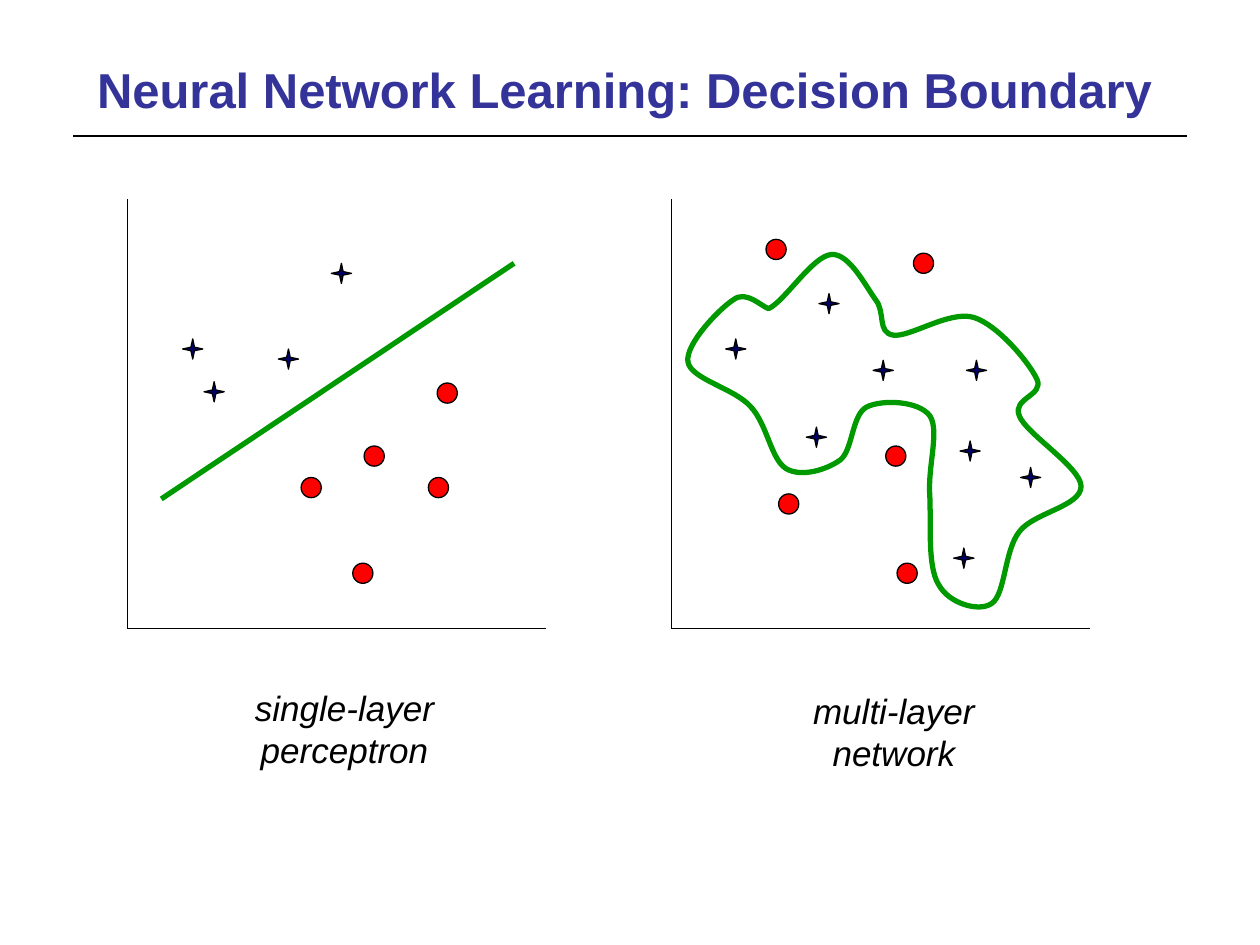
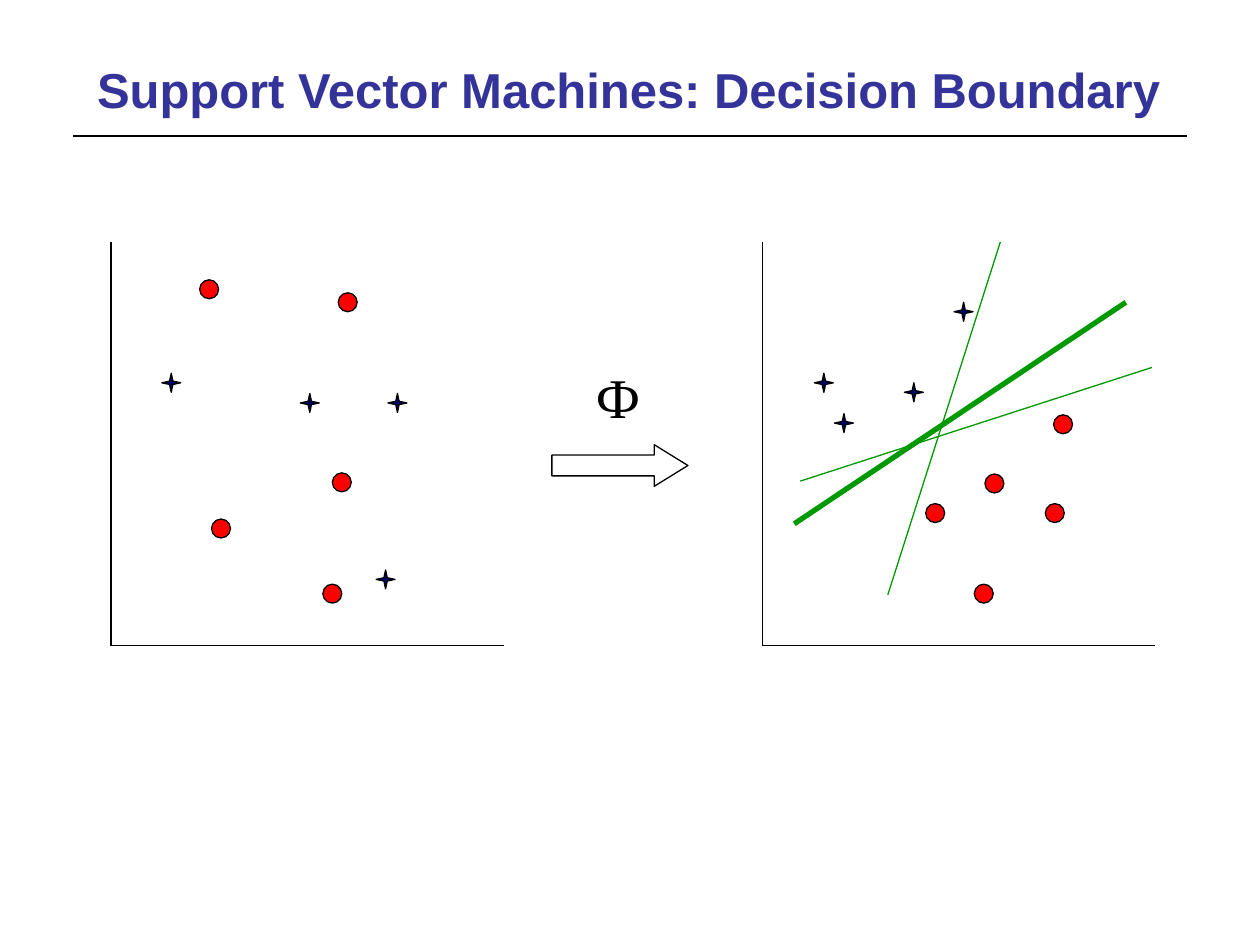
from lxml.etree import SubElement
from pptx import Presentation
from pptx.dml.color import RGBColor
from pptx.enum.shapes import MSO_CONNECTOR, MSO_SHAPE
from pptx.enum.text import MSO_ANCHOR, MSO_AUTO_SIZE, PP_ALIGN
from pptx.oxml.ns import qn
from pptx.util import Inches, Pt

COLORS = {"title": "333399", "ink": "000000", "star": "000066",
          "dot": "FF0000", "boundary": "009900"}
TITLES = ["Neural Network Learning: Decision Boundary",
          "Support Vector Machines: Decision Boundary"]
CAPTIONS = [("single-layer\vperceptron", 1.22, 5.4, 3.03),
            ("multi-layer\vnetwork", 5.83, 5.42, 2.53)]

AXES = (3.32, 3.41)
MARK = 0.16
SVM_SCALE = 0.94
SEPARABLE = {
    "stars": [(1.62, 0.51), (1.2, 1.19), (0.61, 1.45), (0.44, 1.11)],
    "dots": [(1.88, 1.96), (2.39, 2.21), (1.79, 2.89), (2.46, 1.46), (1.38, 2.21)],
}
MIXED_STARS = [(2.34, 1.28), (2.24, 2.77), (1.6, 1.28), (0.43, 1.11)]
MIXED_DOTS = [(0.85, 2.34), (1.79, 2.89), (1.92, 0.43), (0.75, 0.32)]
NETWORK_MIXED = {
    "stars": MIXED_STARS + [(1.17, 0.75), (1.07, 1.81), (2.29, 1.92), (2.77, 2.13)],
    "dots": MIXED_DOTS + [(1.7, 1.96)],
}
SVM_MIXED = {"stars": MIXED_STARS, "dots": MIXED_DOTS + [(1.87, 1.95)]}
BEST_LINE = ((0.27, 2.38), (3.07, 0.51), 3)
OTHER_LINES = [((1.06, 2.98), (2.01, 0), 0.75), ((0.32, 2.02), (3.29, 1.06), 0.75)]

CURVE_START = (6.1, 2.45)
CURVE = [
    ((6.23, 2.39), (6.45, 2.03), (6.6, 2.02)),
    ((6.74, 2.01), (6.87, 2.27), (6.95, 2.38)),
    ((7.03, 2.48), (6.96, 2.64), (7.09, 2.66)),
    ((7.22, 2.68), (7.54, 2.46), (7.73, 2.52)),
    ((7.92, 2.58), (8.17, 2.88), (8.23, 3.01)),
    ((8.29, 3.14), (8.03, 3.16), (8.09, 3.3)),
    ((8.14, 3.44), (8.58, 3.71), (8.58, 3.86)),
    ((8.58, 4.02), (8.2, 4.07), (8.09, 4.22)),
    ((7.97, 4.37), (7.98, 4.72), (7.87, 4.79)),
    ((7.77, 4.86), (7.53, 4.79), (7.45, 4.64)),
    ((7.36, 4.5), (7.39, 4.16), (7.38, 3.94)),
    ((7.36, 3.71), (7.46, 3.42), (7.38, 3.3)),
    ((7.29, 3.18), (7, 3.17), (6.88, 3.23)),
    ((6.76, 3.29), (6.77, 3.57), (6.67, 3.65)),
    ((6.56, 3.73), (6.36, 3.79), (6.24, 3.72)),
    ((6.12, 3.65), (6.09, 3.37), (5.96, 3.23)),
    ((5.83, 3.08), (5.48, 3.01), (5.46, 2.87)),
    ((5.44, 2.73), (5.71, 2.45), (5.82, 2.38)),
    ((5.92, 2.3), (6.04, 2.43), CURVE_START),
]


def rgb(name):
    return RGBColor.from_string(COLORS[name])


def style(shape, fill=None, line="ink", width=0.75):
    shape.shadow.inherit = False
    if fill:
        shape.fill.solid()
        shape.fill.fore_color.rgb = rgb(fill)
    else:
        shape.fill.background()
    shape.line.color.rgb = rgb(line)
    shape.line.width = Pt(width)


def add_line(shapes, start, end, color="ink", width=0.75):
    c = shapes.add_connector(MSO_CONNECTOR.STRAIGHT, *map(Inches, (*start, *end)))
    c.line.color.rgb = rgb(color)
    c.line.width = Pt(width)
    SubElement(c._element.spPr, qn("a:effectLst"))
    return c


def add_plot(s, left, top, data, lines=(), scale=1):
    def place(point):
        return left + scale * point[0], top + scale * point[1]

    shapes = s.shapes.add_group_shape().shapes
    corner = place((0, AXES[1]))
    add_line(shapes, (left, top), corner)
    add_line(shapes, corner, place(AXES))
    size = Inches(MARK * scale)
    for kind, preset, fill in (("stars", MSO_SHAPE.STAR_4_POINT, "star"),
                               ("dots", MSO_SHAPE.OVAL, "dot")):
        for point in data[kind]:
            x, y = place(point)
            mark = shapes.add_shape(preset, Inches(x), Inches(y), size, size)
            style(mark, fill)
            if kind == "stars":
                mark.adjustments[0] = 0.125
    for start, end, width in lines:
        add_line(shapes, place(start), place(end), "boundary", width)
    return shapes


def add_closed_curve(shapes, start, segments):
    points = [(Inches(x), Inches(y)) for segment in segments for x, y in segment]
    builder = shapes.build_freeform(*map(Inches, start))
    builder.add_line_segments(points, close=True)
    sp = builder.convert_to_shape()
    style(sp, line="boundary", width=3)
    path = next(sp._element.iter(qn("a:path")))
    corners = path.findall(qn("a:lnTo"))
    for i in range(0, len(corners), 3):
        cubic = SubElement(path, qn("a:cubicBezTo"))
        for corner in corners[i:i + 3]:
            cubic.append(corner[0])
            path.remove(corner)
    path.append(path.find(qn("a:close")))


def add_text(s, text, left, top, width, height, size, font, italic=False, align=None):
    tf = s.shapes.add_textbox(*map(Inches, (left, top, width, height))).text_frame
    tf.word_wrap = False
    p = tf.paragraphs[0]
    p.text = text
    p.alignment = align
    p.font.size, p.font.name, p.font.italic = Pt(size), font, italic
    p.font.color.rgb = rgb("ink")


def add_slide(prs, title):
    s = prs.slides.add_slide(prs.slide_layouts[5])
    sp = s.shapes.title
    sp.left, sp.top, sp.width, sp.height = map(Inches, (0.67, 0.42, 8.75, 1))
    tf = sp.text_frame
    tf.vertical_anchor = MSO_ANCHOR.TOP
    tf.auto_size = MSO_AUTO_SIZE.NONE
    p = tf.paragraphs[0]
    p.text = title
    p.alignment = PP_ALIGN.LEFT
    p.font.size, p.font.name, p.font.bold = Pt(28), "Arial", True
    p.font.color.rgb = rgb("title")
    return s


prs = Presentation()
prs.slide_width, prs.slide_height = Inches(10), Inches(7.5)
network, svm = [add_slide(prs, title) for title in TITLES]

rule = add_line(network.shapes, (0.58, 1.08), (9.42, 1.08), width=1)
prs.slide_master.shapes._spTree.append(rule._element)

add_plot(network, 1.01, 1.58, SEPARABLE, [BEST_LINE])
mixed_plot = add_plot(network, 5.33, 1.58, NETWORK_MIXED)
add_closed_curve(mixed_plot, CURVE_START, CURVE)
for text, left, top, width in CAPTIONS:
    add_text(network, text, left, top, width, 0.43, 20, "Arial", True, PP_ALIGN.CENTER)

add_plot(svm, 6.05, 1.92, SEPARABLE, [BEST_LINE, *OTHER_LINES], SVM_SCALE)
add_plot(svm, 0.88, 1.92, SVM_MIXED, scale=SVM_SCALE)
arrow = svm.shapes.add_shape(MSO_SHAPE.RIGHT_ARROW, *map(Inches, (4.38, 3.53, 1.08, 0.33)))
arrow.adjustments[1] = 0.81
style(arrow)
add_text(svm, "Ф", 4.63, 2.83, 0.55, 0.63, 32, "Times New Roman")

prs.save("out.pptx")
